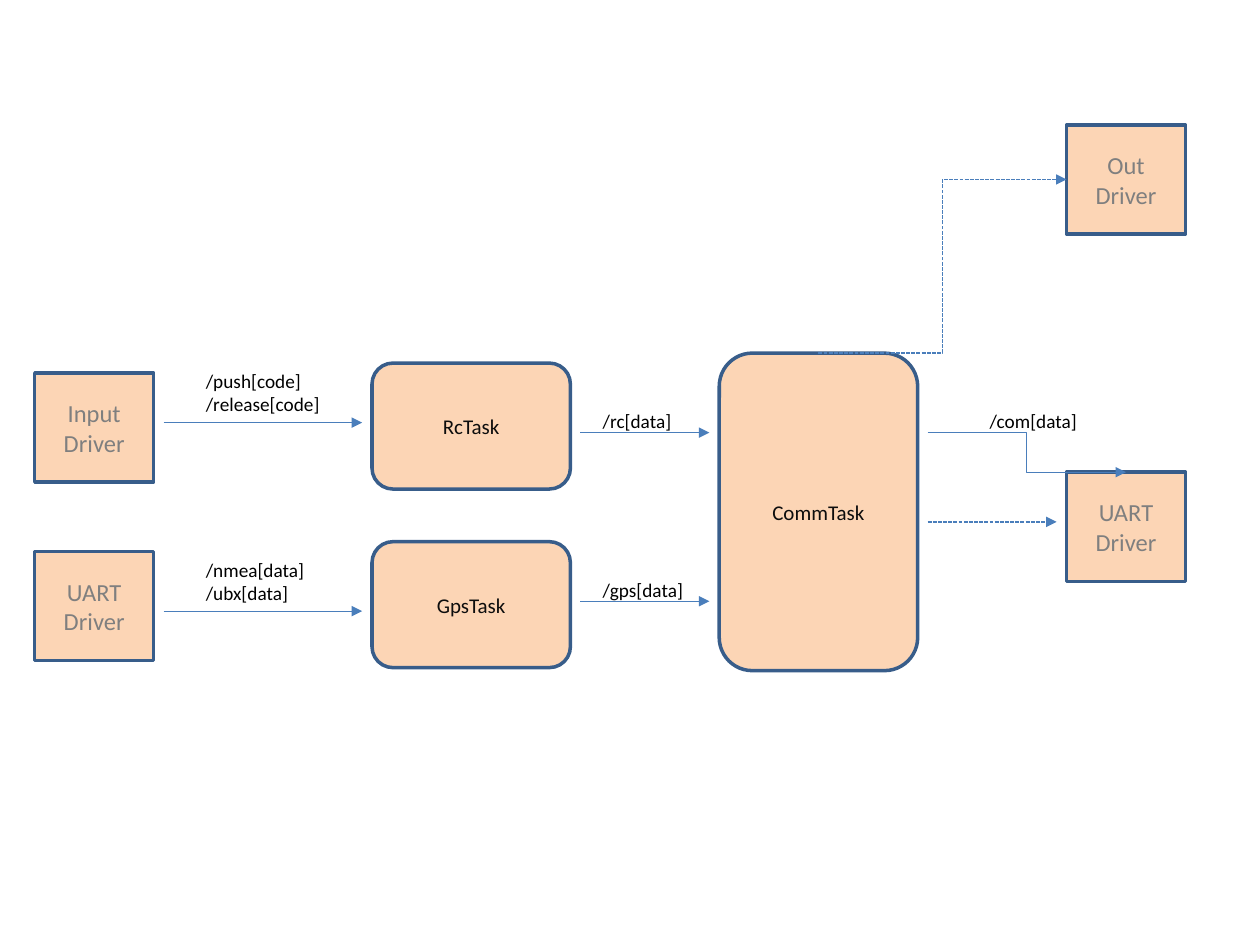
from dataclasses import dataclass

import pptx
import pptx.dml.color
import pptx.enum.dml
import pptx.enum.shapes
import pptx.enum.text
import pptx.oxml.ns
import pptx.slide
import pptx.util
from lxml import etree
from pptx.util import Cm

COLORS = {
    "node": "FCD5B5",
    "border": "385D8A",
    "flow": "4A7EBB",
    "driver_text": "7F7F7F",
    "task_text": "0D0D0D",
    "label": "000000",
}
FONT = "Calibri"
ROW_STEP = 3.6
TASK_LEFT, TASK_TOP, TASK_WIDTH, TASK_HEIGHT = 7.5, 7.32, 4, 2.54
COMM_LEFT, COMM_TOP, COMM_HEIGHT = 14.5, 7.12, 6.4
DRIVER_TOP, DRIVER_WIDTH, DRIVER_HEIGHT = 7.52, 2.4, 2.2
INPUT_LEFT, OUTPUT_LEFT = 0.7, 21.5
OUT_TOP, UART_TOP = 2.52, 9.52
GAP = 0.2
COMM_RIGHT = COMM_LEFT + TASK_WIDTH
DATA_Y = 8.72


@dataclass
class Node:
    name: str
    left: float
    top: float
    width: float
    height: float
    is_task: bool


@dataclass
class Flow:
    start: tuple[float, float]
    end: tuple[float, float]
    dashed: bool = False


@dataclass
class Label:
    messages: list[str]
    left: float
    top: float
    width: float
    height: float = 0.74


def driver(name: str, left: float, top: float) -> Node:
    return Node(name, left, top, DRIVER_WIDTH, DRIVER_HEIGHT, False)


def task(name: str, left: float, top: float, height: float) -> Node:
    return Node(name, left, top, TASK_WIDTH, height, True)


def across(left: float, right: float, y: float, dashed: bool = False) -> Flow:
    return Flow((left + GAP, y), (right - GAP, y), dashed)


NODES = [
    driver("Input Driver", INPUT_LEFT, DRIVER_TOP),
    driver("UART Driver", INPUT_LEFT, DRIVER_TOP + ROW_STEP),
    task("RcTask", TASK_LEFT, TASK_TOP, TASK_HEIGHT),
    task("GpsTask", TASK_LEFT, TASK_TOP + ROW_STEP, TASK_HEIGHT),
    task("CommTask", COMM_LEFT, COMM_TOP, COMM_HEIGHT),
    driver("UART Driver", OUTPUT_LEFT, UART_TOP),
    driver("Out Driver", OUTPUT_LEFT, OUT_TOP),
]
FLOWS = [
    across(INPUT_LEFT + DRIVER_WIDTH, TASK_LEFT, 8.52),
    across(INPUT_LEFT + DRIVER_WIDTH, TASK_LEFT, 12.32),
    across(TASK_LEFT + TASK_WIDTH, COMM_LEFT, DATA_Y),
    across(TASK_LEFT + TASK_WIDTH, COMM_LEFT, 12.12),
    across(COMM_RIGHT, OUTPUT_LEFT, 10.52, dashed=True),
    Flow((COMM_RIGHT + GAP, DATA_Y), (OUTPUT_LEFT + DRIVER_WIDTH / 2, UART_TOP)),
    Flow((COMM_LEFT + TASK_WIDTH / 2, COMM_TOP),
         (OUTPUT_LEFT, OUT_TOP + DRIVER_HEIGHT / 2), dashed=True),
]
LABELS = [
    Label(["/push[code]", "/release[code]"], 3.9, 7.32, 2.82, 1.19),
    Label(["/nmea[data]", "/ubx[data]"], 3.9, 11.12, 2.51, 1.19),
    Label(["/rc[data]"], 11.9, 8.13, 1.9),
    Label(["/gps[data]"], 11.9, 11.53, 2.16),
    Label(["/com[data]"], 19.7, 8.13, 2.29),
]


def rgb(role: str) -> pptx.dml.color.RGBColor:
    return pptx.dml.color.RGBColor.from_string(COLORS[role])


def style_font(font: pptx.text.text.Font, size: int, role: str) -> None:
    font.name = FONT
    font.size = pptx.util.Pt(size)
    font.color.rgb = rgb(role)


def draw_node(slide: pptx.slide.Slide, node: Node) -> None:
    kinds = pptx.enum.shapes.MSO_SHAPE
    box = slide.shapes.add_shape(
        kinds.ROUNDED_RECTANGLE if node.is_task else kinds.RECTANGLE,
        Cm(node.left), Cm(node.top), Cm(node.width), Cm(node.height))
    box.shadow.inherit = False
    box.fill.solid()
    box.fill.fore_color.rgb = rgb("node")
    box.line.color.rgb = rgb("border")
    box.line.width = pptx.util.Pt(2)
    box.text_frame.word_wrap = True
    box.text_frame.vertical_anchor = pptx.enum.text.MSO_ANCHOR.MIDDLE
    caption = box.text_frame.paragraphs[0]
    caption.text = node.name
    caption.alignment = pptx.enum.text.PP_ALIGN.CENTER
    if node.is_task:
        style_font(caption.font, 12, "task_text")
    else:
        style_font(caption.font, 14, "driver_text")


def draw_flow(slide: pptx.slide.Slide, flow: Flow) -> None:
    kinds = pptx.enum.shapes.MSO_CONNECTOR
    kind = kinds.STRAIGHT if flow.start[1] == flow.end[1] else kinds.ELBOW
    arrow = slide.shapes.add_connector(
        kind, *(Cm(value) for value in flow.start + flow.end))
    arrow.line.color.rgb = rgb("flow")
    arrow.line.width = pptx.util.Pt(0.75)
    if flow.dashed:
        arrow.line.dash_style = pptx.enum.dml.MSO_LINE.SQUARE_DOT
    qn = pptx.oxml.ns.qn
    properties = arrow.element.spPr
    etree.SubElement(properties.find(qn("a:ln")), qn("a:tailEnd"), type="triangle")
    etree.SubElement(properties, qn("a:effectLst"))


def draw_label(slide: pptx.slide.Slide, label: Label) -> None:
    box = slide.shapes.add_textbox(
        Cm(label.left), Cm(label.top), Cm(label.width), Cm(label.height))
    frame = box.text_frame
    frame.word_wrap = False
    frame.auto_size = pptx.enum.text.MSO_AUTO_SIZE.SHAPE_TO_FIT_TEXT
    frame.text = "\n".join(label.messages)
    for message in frame.paragraphs:
        style_font(message.font, 11, "label")


def main() -> None:
    presentation = pptx.Presentation()
    presentation.slide_width = Cm(25.4)
    presentation.slide_height = Cm(19.05)
    slide = presentation.slides.add_slide(presentation.slide_layouts[6])
    for node in NODES:
        draw_node(slide, node)
    for flow in FLOWS:
        draw_flow(slide, flow)
    for label in LABELS:
        draw_label(slide, label)
    presentation.save("out.pptx")


if __name__ == "__main__":
    main()
